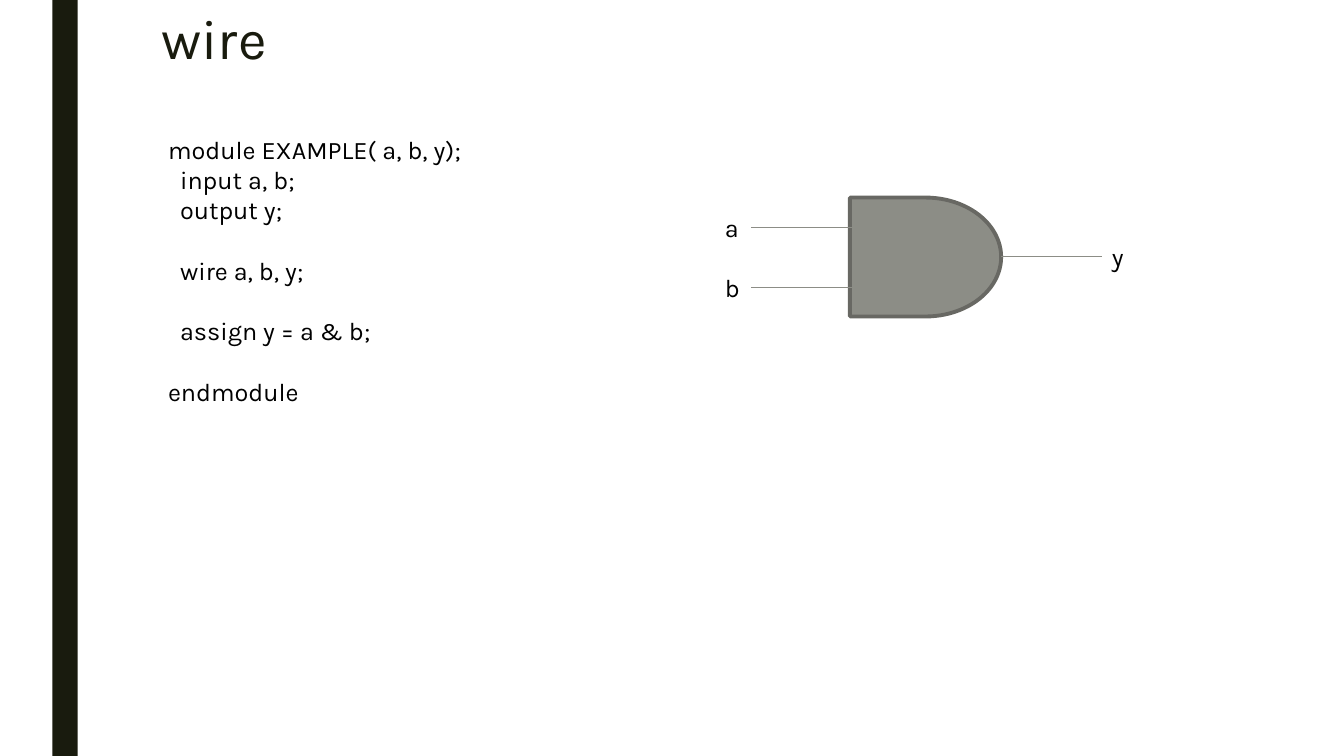
from lxml import etree
from pptx import Presentation
from pptx import util as u
from pptx.dml.color import RGBColor
from pptx.enum import shapes, text
from pptx.oxml.ns import qn

INK, GRAY, EDGE, BLACK = "191B0E", "8C8D86", "686863", "000000"


def rgb(value):
    return RGBColor.from_string(value)


class SlideBuilder:
    font = "Karla"
    body_size = 18
    line_pitch = 21.6

    def __init__(self, slide):
        self.s = slide

    def add_words(self, p, words, size, color):
        r = p.add_run()
        r.text = words
        for name, value in {"name": self.font, "size": u.Pt(size)}.items():
            setattr(r.font, name, value)
        r.font.color.rgb = rgb(color)

    def title(self, words, left, top, width, height):
        sp = self.s.shapes.title
        box = {"left": left, "top": top, "width": width, "height": height}
        for name, value in box.items():
            setattr(sp, name, u.Inches(value))
        tf = sp.text_frame
        tf.vertical_anchor = text.MSO_ANCHOR.MIDDLE
        p = tf.paragraphs[0]
        p.alignment = text.PP_ALIGN.LEFT
        p.line_spacing = 0.89
        self.add_words(p, words, 39.6, INK)

    def text_box(self, lines, left, top, width, height, wrap=False):
        """Each line is (words, number of empty lines before it)."""
        sp = self.s.shapes.add_textbox(*map(u.Inches, (left, top, width, height)))
        tf = sp.text_frame
        tf.word_wrap = wrap
        tf.auto_size = text.MSO_AUTO_SIZE.SHAPE_TO_FIT_TEXT
        for i, (words, gap) in enumerate(lines):
            p = tf.add_paragraph() if i else tf.paragraphs[0]
            if gap:
                p.space_before = u.Pt(gap * self.line_pitch)
            self.add_words(p, words, self.body_size, BLACK)

    def shape(self, kind, left, top, width, height, fill, line=None):
        sp = self.s.shapes.add_shape(kind, *map(u.Inches, (left, top, width, height)))
        sp.shadow.inherit = False
        sp.fill.solid()
        sp.fill.fore_color.rgb = rgb(fill)
        if line:
            sp.line.color.rgb = rgb(line)
            sp.line.width = u.Pt(2.75)
        else:
            sp.line.fill.background()

    def wire(self, left, y, length=1):
        ends = map(u.Inches, (left, y, left + length, y))
        cxn = self.s.shapes.add_connector(shapes.MSO_CONNECTOR.STRAIGHT, *ends)
        cxn.line.color.rgb = rgb(GRAY)
        cxn.line.width = u.Pt(0.5)
        etree.SubElement(cxn._element.spPr, qn("a:effectLst"))


def main():
    prs = Presentation()
    prs.slide_width, prs.slide_height = u.Inches(13.33), u.Inches(7.5)
    b = SlideBuilder(prs.slides.add_slide(prs.slide_layouts[5]))

    # Side bar and title
    b.shape(shapes.MSO_SHAPE.RECTANGLE, 0.52, 0, 0.25, 7.5, INK)
    b.title("wire", 1.5, 0.09, 10.5, 0.64)

    # Verilog code
    code = [
        (" module EXAMPLE( a, b, y);", 0),
        ("   input a, b;", 0),
        ("   output y;", 0),
        ("   wire a, b, y;", 1),
        ("   assign y = a & b;", 1),
        (" endmodule", 1),
    ]
    b.text_box(code, 1.51, 1.28, 4.17, 2.83, wrap=True)

    # AND gate
    b.shape(shapes.MSO_SHAPE.FLOWCHART_DELAY, 8.43, 1.96, 1.5, 1.18, GRAY, EDGE)

    # Labelled wires: label, label left, label width, wire left, wire height
    for name, left, width, start, y in [
        ("a", 7.09, 0.34, 7.45, 2.26),
        ("b", 7.09, 0.34, 7.45, 2.85),
        ("y", 10.93, 0.31, 9.93, 2.54),
    ]:
        b.wire(start, y)
        b.text_box([(name, 0)], left, y - 0.2, width, 0.4)

    prs.save("out.pptx")


if __name__ == "__main__":
    main()
